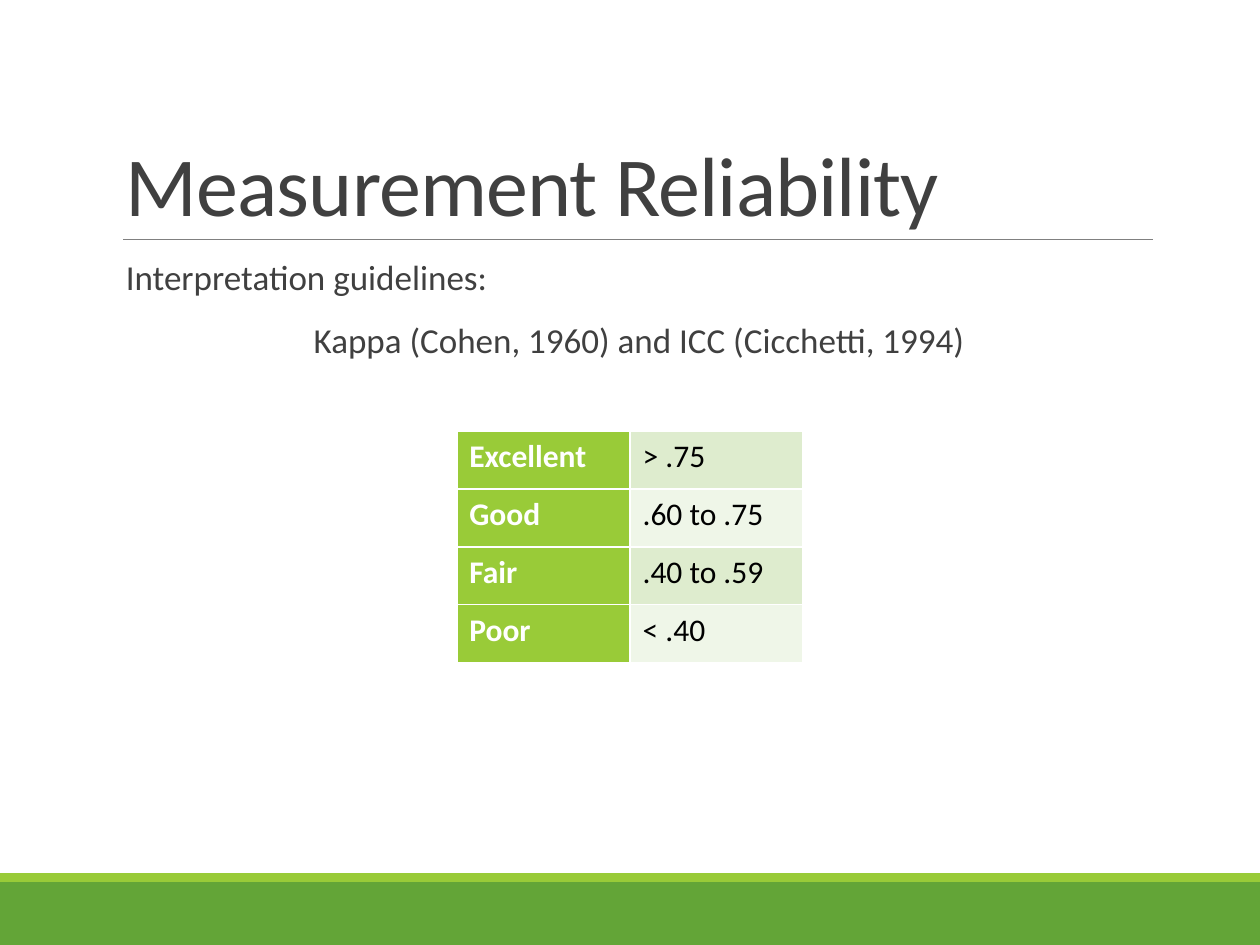
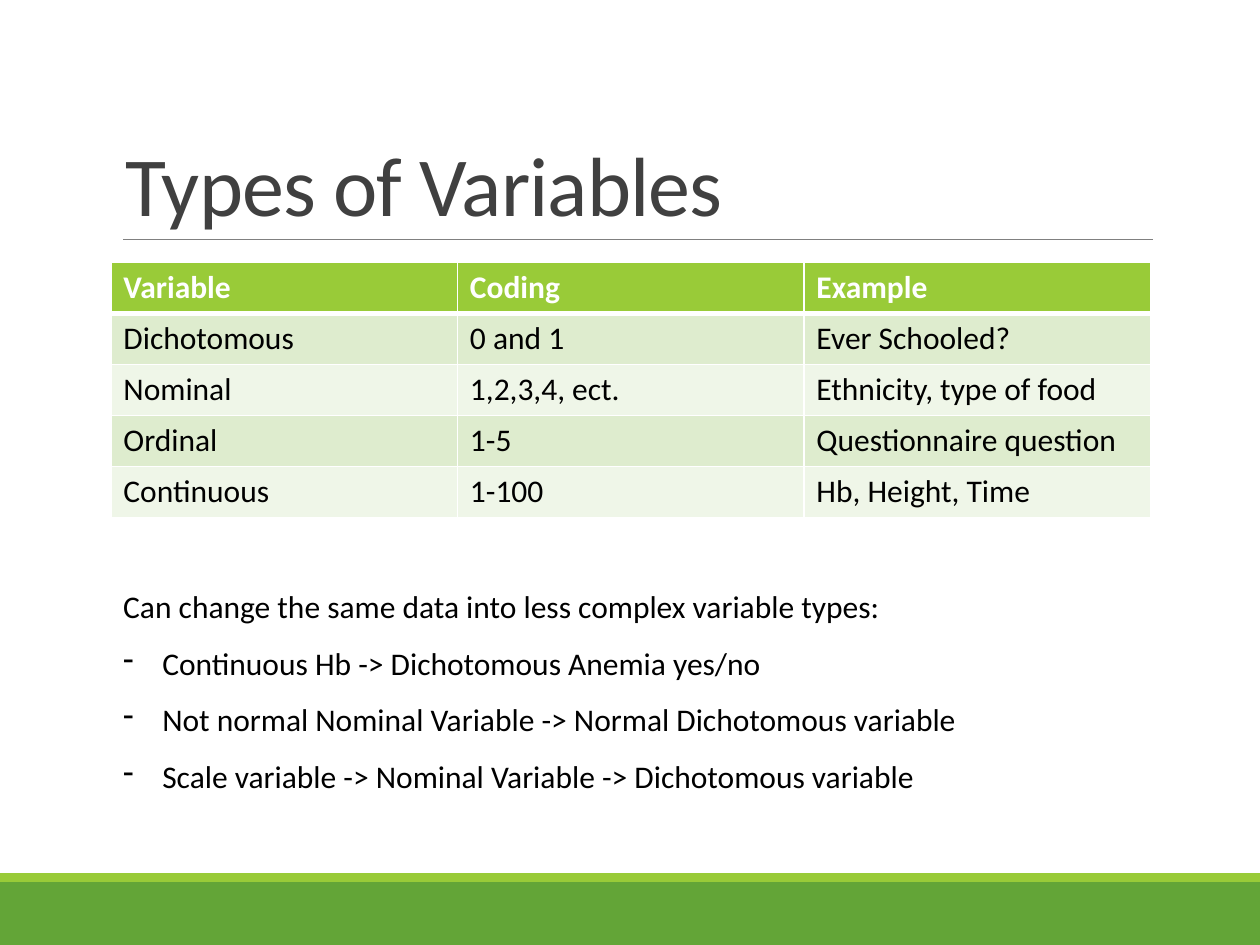
from lxml import etree
from pptx import Presentation, util as u
from pptx.dml.color import RGBColor
from pptx.enum import shapes, text
from pptx.oxml.ns import qn

WIDE, HIGH = u.Inches(10), u.Inches(7.5)
FONT = "Calibri"
GREEN, LIME, GREY, INK = "63A537", "99CB38", "808080", "404040"
WHITE, BLACK = "FFFFFF", "000000"
BANDS = ("DEECCE", "EFF6E8")
TITLE = {"size": u.Pt(48), "color": INK}
BODY = {"size": u.Pt(20), "color": INK}
CELL = {"size": u.Pt(18), "color": BLACK, "bold": False}
HEAD = {**CELL, "color": WHITE, "bold": True}
NOTE = {"size": u.Pt(18), "color": BLACK}


def rgb(code):
    """Turn a hex string into a colour."""
    return RGBColor.from_string(code)


def area(x, y, w, h):
    """Turn percentages of the slide into a box of lengths."""
    return tuple(round(part * side / 100)
                 for part, side in zip((x, y, w, h), (WIDE, HIGH) * 2))


def put(goal, props):
    """Set every attribute of a dict on an object."""
    for key, val in props.items():
        setattr(goal, key, val)


def write(para, words, font, **props):
    """Write one run in a paragraph with its font and format."""
    put(para, props)
    run = para.add_run()
    run.text = words
    put(run.font, {"name": FONT, **{k: v for k, v in font.items() if k != "color"}})
    run.font.color.rgb = rgb(font["color"])
    return run


def frame(slide, box, **props):
    """Add a wrapping text box and return its text frame."""
    body = slide.shapes.add_textbox(*box).text_frame
    put(body, {"word_wrap": True, **props})
    return body


def fill_in(body, lines):
    """Write lines of (words, font, format) as paragraphs."""
    for num, (words, font, props) in enumerate(lines):
        para = body.add_paragraph() if num else body.paragraphs[0]
        write(para, words, font, **props)
        yield para


def dash(para, gap):
    """Give a paragraph a hanging dash."""
    props = para._p.get_or_add_pPr()
    props.set("marL", str(gap))
    props.set("indent", str(-gap))
    etree.SubElement(props, qn("a:buChar"), char="-")


def band(slide, box, code):
    """Draw one flat band."""
    bar = slide.shapes.add_shape(shapes.MSO_SHAPE.RECTANGLE, *box)
    bar.shadow.inherit = False
    bar.fill.solid()
    bar.fill.fore_color.rgb = rgb(code)
    bar.line.fill.background()


def rule(slide, box):
    """Draw a thin line along the top of a box."""
    x, y, w, _ = box
    line = slide.shapes.add_connector(shapes.MSO_CONNECTOR.STRAIGHT, x, y, x + w, y)
    line.line.color.rgb = rgb(GREY)
    line.line.width = u.Pt(0.5)
    etree.SubElement(line._element.spPr, qn("a:effectLst"))


def base(deck, title):
    """Start a slide with its bands, rule and title."""
    slide = deck.slides.add_slide(deck.slide_layouts[6])
    band(slide, area(0, 93.33, 100, 6.67), GREEN)
    band(slide, area(0, 92.4, 100, 0.93), LIME)
    rule(slide, area(9.8, 25.33, 81.7, 0))
    body = frame(slide, area(9, 4.13, 82.5, 21.2),
                 vertical_anchor=text.MSO_ANCHOR.BOTTOM)
    run = write(body.paragraphs[0], title, TITLE, line_spacing=0.85)
    run._r.get_or_add_rPr().set("spc", "-50")
    return slide


def edge(cell, wide):
    """Draw white borders, with some sides of their own width."""
    props = cell._tc.get_or_add_tcPr()
    for num, side in enumerate(("lnL", "lnR", "lnT", "lnB")):
        line = etree.Element(qn("a:" + side), w=str(u.Pt(wide.get(side, 1))))
        paint = etree.SubElement(line, qn("a:solidFill"))
        etree.SubElement(paint, qn("a:srgbClr"), val=WHITE)
        props.insert(num, line)


def table(slide, box, rows, top):
    """Fill a box with an even table headed by its top row or first column."""
    _, _, w, h = box
    grid = slide.shapes.add_table(len(rows), len(rows[0]), *box).table
    put(grid, {"first_row": top, "first_col": not top, "horz_banding": False})
    for col in grid.columns:
        col.width = w // len(rows[0])
    for r, row in enumerate(rows):
        grid.rows[r].height = h // len(rows)
        for c, words in enumerate(row):
            cell = grid.cell(r, c)
            head = (r if top else c) == 0
            cell.fill.solid()
            cell.fill.fore_color.rgb = rgb(LIME if head else BANDS[(r - top) % 2])
            write(cell.text_frame.paragraphs[0], words, HEAD if head else CELL)
            edge(cell, {0: {"lnB": 3}, 1: {"lnT": 3}}.get(r, {}) if top else {})


def guide(slide, box):
    """Place the lines that introduce the guidelines."""
    body = frame(slide, box, margin_right=0)
    flow = {"line_spacing": 0.9, "space_before": u.Pt(12), "space_after": u.Pt(2)}
    list(fill_in(body, [
        ("Interpretation guidelines:", BODY, flow),
        ("Kappa (Cohen, 1960) and ICC (Cicchetti, 1994)", BODY,
         {**flow, "alignment": text.PP_ALIGN.CENTER})]))


def notes(slide, box, lead, items):
    """Place a lead line above dashed items."""
    lines = [(words, NOTE, {"line_spacing": 1.5}) for words in (lead, *items)]
    paras = list(fill_in(frame(slide, box), lines))
    for para in paras[1:]:
        dash(para, u.Inches(0.31))


def trust(deck):
    """Build the slide on reliability."""
    slide = base(deck, "Measurement Reliability")
    guide(slide, area(9, 26.93, 82.5, 58.67))
    table(slide, area(36.25, 45.6, 27.5, 24.53), [
        ("Excellent", "> .75"),
        ("Good", ".60 to .75"),
        ("Fair", ".40 to .59"),
        ("Poor", "< .40")], False)


def kinds(deck):
    """Build the slide on variable types."""
    slide = base(deck, "Types of Variables")
    table(slide, area(8.8, 27.73, 82.5, 27.07), [
        ("Variable", "Coding", "Example"),
        ("Dichotomous", "0 and 1", "Ever Schooled?"),
        ("Nominal", "1,2,3,4, ect.", "Ethnicity, type of food"),
        ("Ordinal", "1-5", "Questionnaire question"),
        ("Continuous", "1-100", "Hb, Height, Time")], True)
    notes(slide, area(8.8, 59.47, 70, 24.93),
          "Can change the same data into less complex variable types:", [
              "Continuous Hb -> Dichotomous Anemia yes/no",
              "Not normal Nominal Variable -> Normal Dichotomous variable",
              "Scale variable -> Nominal Variable -> Dichotomous variable"])


def main():
    """Build and save the deck."""
    deck = Presentation()
    put(deck, {"slide_width": WIDE, "slide_height": HIGH})
    trust(deck)
    kinds(deck)
    deck.save("out.pptx")


if __name__ == "__main__":
    main()
